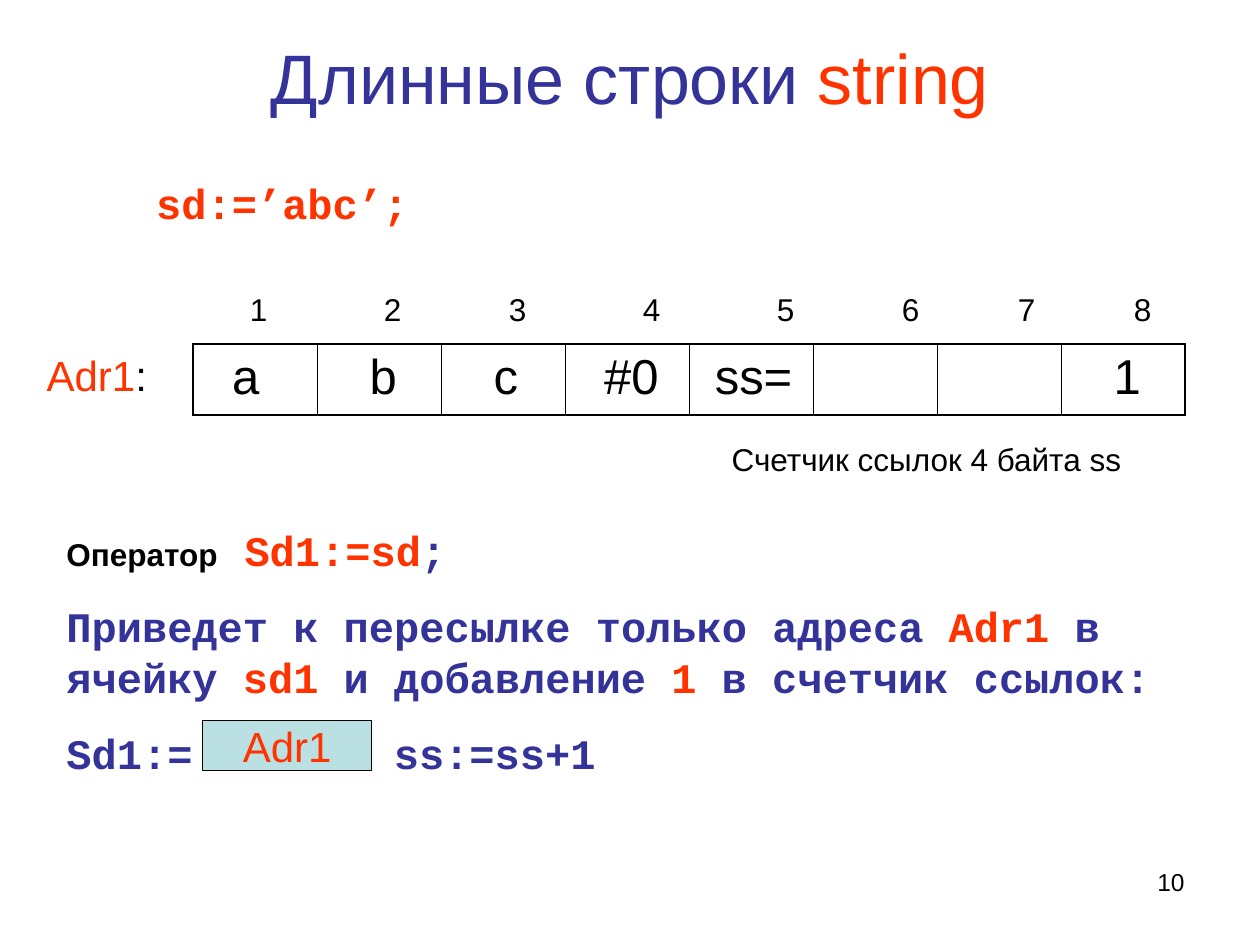
from dataclasses import dataclass
from lxml.etree import SubElement
from pptx import Presentation
from pptx.dml.color import RGBColor
from pptx.enum.shapes import MSO_SHAPE
from pptx.enum.text import MSO_ANCHOR, PP_ALIGN
from pptx.oxml import parse_xml
from pptx.oxml.ns import nsdecls, qn
from pptx.util import Cm, Pt


@dataclass(frozen=True)
class Theme:
    blue: str = "333399"
    red: str = "FF3300"
    black: str = "000000"
    pale: str = "BBE0E3"
    sans: str = "Arial"
    mono: str = "Courier New"
    title: int = 40
    cell: int = 28
    code: int = 24
    note: int = 18
    page: int = 14
    lead: float = 1.2  # line pitch per point of type


look = Theme()


def fill(para, runs, size, font=look.sans, bold=False, align=PP_ALIGN.LEFT, tabs=()):
    """Write (text, colour) runs, with tab stops in cm."""
    para.alignment = align
    if tabs:
        stops = SubElement(para._p.get_or_add_pPr(), qn("a:tabLst"))
        for stop in tabs:
            SubElement(stops, qn("a:tab"), pos=str(Cm(stop)), algn="l")
    for text, ink in runs:
        run = para.add_run()
        run.text = text
        run.font.size, run.font.name, run.font.bold = Pt(size), font, bold
        run.font.color.rgb = RGBColor.from_string(ink)
    return para


def label(left, top, width, height, runs, size, **style):
    """Add a text box in cm and return its frame."""
    frame = slide.shapes.add_textbox(Cm(left), Cm(top), Cm(width), Cm(height)).text_frame
    frame.word_wrap = True
    fill(frame.paragraphs[0], runs, size, **style).line_spacing = Pt(size * look.lead)
    return frame


deck = Presentation()
deck.slide_width, deck.slide_height = Cm(25.4), Cm(19.05)
slide = deck.slides.add_slide(deck.slide_layouts[6])

# Title and first statement
head = label(1.27, 0.76, 22.86, 1.55, [("Длинные строки ", look.blue), ("string", look.red)],
             look.title, align=PP_ALIGN.CENTER)
head.vertical_anchor = MSO_ANCHOR.MIDDLE
label(2.9, 3.46, 6, 1.27, [("sd:=’abc’;", look.red)], look.code, font=look.mono, bold=True)

# Byte numbers, set on tab stops a whole number of spaces apart
space = 0.18
stops = [5 * space]
for gap in (13, 12, 13, 13, 12, 11, 11):
    stops.append(stops[-1] + (gap + 2) * space)
marks = "".join(f"\t{num}" for num in range(1, 9))
label(3.89, 5.72, 19.6, 1.02, [(marks, look.black)], look.note, tabs=stops)

# Memory cells, each with its own indent in spaces
cells = [("a", 2), ("b", 3), ("c", 3), ("#0", 2), ("ss=", 1), ("", 0), ("", 0), ("1", 3)]
last = len(cells) - 1
grid = slide.shapes.add_table(1, len(cells), Cm(3.89), Cm(6.93), Cm(20), Cm(1.44)).table
grid.first_row = grid.horz_banding = False
for col, (text, indent) in enumerate(cells):
    grid.columns[col].width = Cm(2.5)
    cell = grid.cell(0, col)
    cell.fill.background()
    cell.margin_left = Cm(0.25 + 0.27 * indent)
    if text:
        fill(cell.text_frame.paragraphs[0], [(text, look.black)], look.cell)
    edges = {"lnL": 1.08 if col == 0 else 0.45, "lnR": 1.08 if col == last else 0.45,
             "lnT": 1.08, "lnB": 1.08}
    for spot, (side, width) in enumerate(edges.items()):
        edge = parse_xml(f'<a:{side} {nsdecls("a")} w="{Pt(width)}"><a:solidFill>'
                         f'<a:srgbClr val="{look.black}"/></a:solidFill></a:{side}>')
        cell._tc.get_or_add_tcPr().insert(spot, edge)

# Labels of the cells
label(14.5, 8.74, 8.61, 1.02, [("Счетчик ссылок 4 байта ss", look.black)], look.note)
label(0.69, 6.93, 2.79, 1.27, [("Adr1", look.red), (":", look.black)], look.code)

# Explanation
body = label(1.09, 10.44, 22.81, 5.38, [("Оператор", look.black)], look.note,
             bold=True, tabs=[3.59])
first = body.paragraphs[0]
fill(first, [("\tSd1:=sd", look.red), (";", look.blue)], look.code, font=look.mono, bold=True)
prose = [("Приведет к пересылке только адреса ", look.blue), ("Adr1 ", look.red),
         ("в ячейку ", look.blue), ("sd1 ", look.red), ("и добавление ", look.blue),
         ("1", look.red), (" в счетчик ссылок:", look.blue)]
for runs, tabs in ((prose, ()), ([("Sd1:=\tss:=ss+1", look.blue)], [6.6])):
    para = fill(body.add_paragraph(), runs, look.code, font=look.mono, bold=True, tabs=tabs)
    para.space_before = Pt(15)
for para in body.paragraphs:
    para.line_spacing = Pt(look.code * look.lead)

# Address box
box = slide.shapes.add_shape(MSO_SHAPE.FLOWCHART_PROCESS, Cm(4.09), Cm(14.53), Cm(3.4), Cm(1))
box.shadow.inherit = False
box.fill.solid()
box.fill.fore_color.rgb = RGBColor.from_string(look.pale)
box.line.color.rgb = RGBColor.from_string(look.black)
box.line.width = Pt(0.75)
box.text_frame.word_wrap = False
box.text_frame.vertical_anchor = MSO_ANCHOR.MIDDLE
para = fill(box.text_frame.paragraphs[0], [("Adr1", look.red)], look.code, align=PP_ALIGN.CENTER)
para.line_spacing = Pt(look.code * look.lead)

# Page number
label(18.21, 17.35, 5.92, 1.32, [("10", look.black)], look.page, align=PP_ALIGN.RIGHT)

deck.save("out.pptx")
